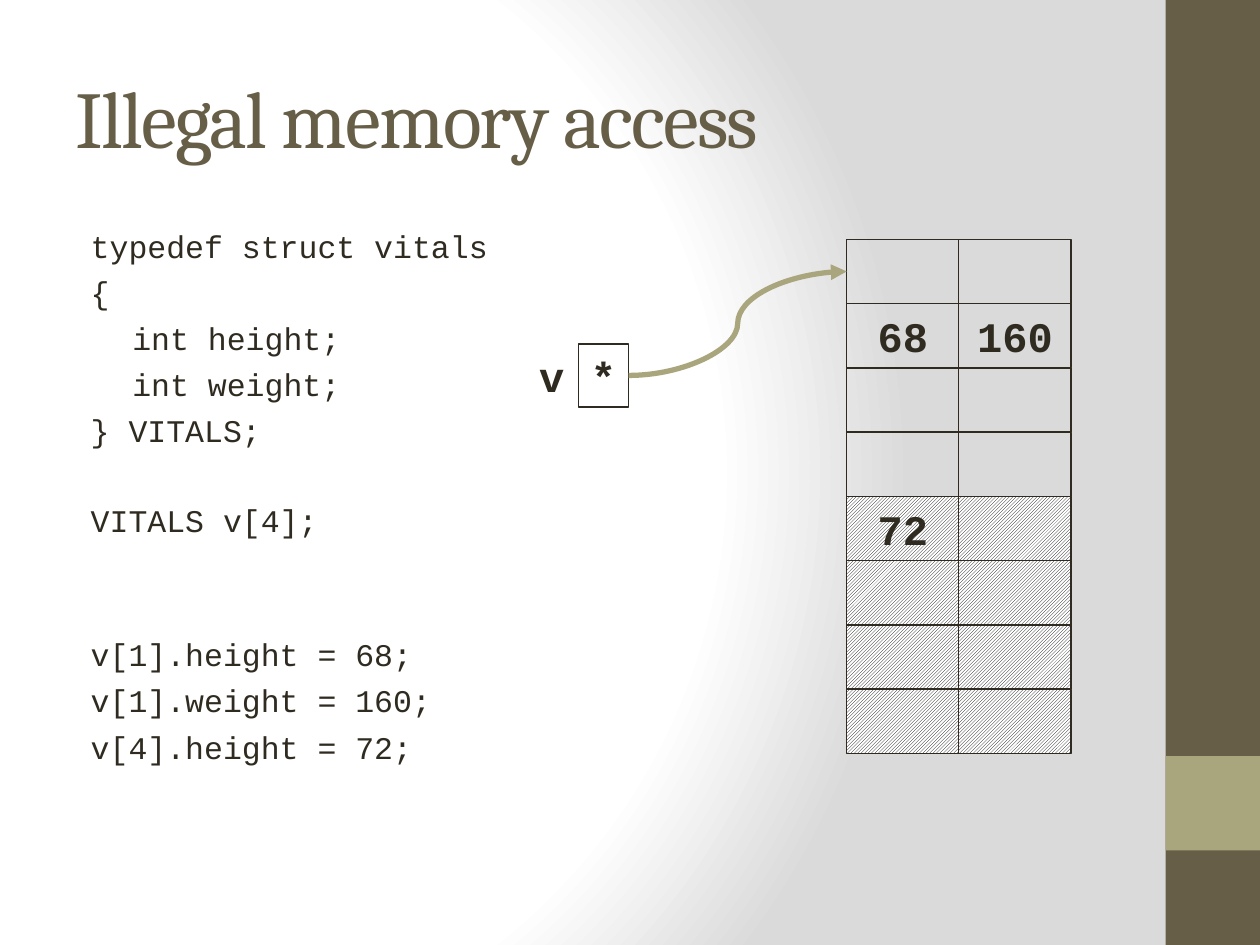
from typing import NamedTuple

from lxml import etree
from pptx import Presentation
from pptx.dml.color import RGBColor
from pptx.enum.dml import MSO_PATTERN
from pptx.enum.shapes import MSO_CONNECTOR, MSO_SHAPE
from pptx.enum.text import MSO_ANCHOR, MSO_AUTO_SIZE, PP_ALIGN
from pptx.oxml import parse_xml
from pptx.oxml.ns import nsdecls, qn
from pptx.util import Inches, Pt

RECT = MSO_SHAPE.RECTANGLE
CURVE = MSO_CONNECTOR.CURVE
HATCH = MSO_PATTERN.LIGHT_UPWARD_DIAGONAL
MIDDLE, TOP = MSO_ANCHOR.MIDDLE, MSO_ANCHOR.TOP
LEFT, CENTER = PP_ALIGN.LEFT, PP_ALIGN.CENTER
NO_AUTOFIT = MSO_AUTO_SIZE.NONE

BROWN = RGBColor(0x67, 0x5E, 0x47)
OLIVE = RGBColor(0xA9, 0xA5, 0x7C)
INK = RGBColor(0x2F, 0x2B, 0x20)
BLACK = RGBColor(0, 0, 0)
WHITE = RGBColor(0xFF, 0xFF, 0xFF)

CODE_FONT = "Courier New"
GRID_LEFT, GRID_TOP = 6.72, 1.9
CELL_W, CELL_H = 0.89, 0.51
ROWS, COLS, VALID_ROWS = 8, 2, 4
VALUES = {(1, 0): "68", (1, 1): "160", (4, 0): "72"}
LINE_GAP, BLANK_LINE = 4.75, 25.1


class CodeLine(NamedTuple):
    text: str
    level: int = 0
    blanks_before: int = 0


class Band(NamedTuple):
    top: float
    height: float
    color: RGBColor


CODE = [
    CodeLine("typedef struct vitals"),
    CodeLine("{"),
    CodeLine("int height;", 1),
    CodeLine("int weight;", 1),
    CodeLine("} VITALS;"),
    CodeLine("VITALS v[4];", 0, 1),
    CodeLine("v[1].height = 68;", 0, 2),
    CodeLine("v[1].weight = 160;"),
    CodeLine("v[4].height = 72;"),
]
BANDS = [Band(0, 7.5, BROWN), Band(6, 0.75, OLIVE)]


def add_run(p, text: str, size: float, font: str, color: RGBColor, bold: bool = False):
    r = p.add_run()
    r.text = text
    r.font.size = Pt(size)
    r.font.name = font
    r.font.bold = bold
    r.font.color.rgb = color
    return r


def place(sp, left: float, top: float, width: float, height: float) -> None:
    sp.left, sp.top = Inches(left), Inches(top)
    sp.width, sp.height = Inches(width), Inches(height)


def add_label(sp, text: str) -> None:
    tf = sp.text_frame
    tf.word_wrap = False
    tf.vertical_anchor = MIDDLE
    p = tf.paragraphs[0]
    p.alignment = CENTER
    add_run(p, text, 24, CODE_FONT, INK, True)


def add_box(s, left: float, top: float, width: float, height: float,
            text: str = "", hatched: bool = False):
    sp = s.shapes.add_shape(RECT, Inches(left), Inches(top), Inches(width), Inches(height))
    sp.shadow.inherit = False
    sp.line.color.rgb = INK
    sp.line.width = Pt(0.75)
    if hatched:
        sp.fill.patterned()
        sp.fill.pattern = HATCH
        sp.fill.fore_color.rgb = BLACK
        sp.fill.back_color.rgb = WHITE
    else:
        sp.fill.background()
    if text:
        add_label(sp, text)
    return sp


def add_band(s, band: Band) -> None:
    sp = s.shapes.add_shape(RECT, Inches(9.25), Inches(band.top), Inches(0.75), Inches(band.height))
    sp.shadow.inherit = False
    sp.fill.solid()
    sp.fill.fore_color.rgb = band.color
    sp.line.fill.background()


def set_background(s) -> None:
    bg = parse_xml(
        f'<p:bg {nsdecls("p", "a")}><p:bgPr><a:gradFill rotWithShape="1"><a:gsLst>'
        '<a:gs pos="0"><a:srgbClr val="FFFFFF"/></a:gs>'
        '<a:gs pos="75000"><a:srgbClr val="FFFFFF"/></a:gs>'
        '<a:gs pos="100000"><a:srgbClr val="DADADA"/></a:gs></a:gsLst>'
        '<a:path path="circle"><a:fillToRect l="20000" t="50000" r="100000" b="50000"/></a:path>'
        '</a:gradFill><a:effectLst/></p:bgPr></p:bg>'
    )
    s.element.cSld.insert(0, bg)


def fill_title(sp) -> None:
    place(sp, 0.5, 0.3, 8.33, 1.25)
    tf = sp.text_frame
    tf.auto_size = NO_AUTOFIT
    tf.vertical_anchor = MIDDLE
    p = tf.paragraphs[0]
    p.alignment = LEFT
    r = add_run(p, "Illegal memory access", 46, "Cambria", BROWN)
    r.font._element.set("spc", "-100")


def fill_code(sp) -> None:
    place(sp, 0.5, 1.75, 6.97, 5.25)
    tf = sp.text_frame
    tf.auto_size = NO_AUTOFIT
    tf.vertical_anchor = TOP
    for i, line in enumerate(CODE):
        p = tf.paragraphs[0] if i == 0 else tf.add_paragraph()
        p.level = line.level
        p.alignment = LEFT
        p.space_before = Pt(LINE_GAP + line.blanks_before * BLANK_LINE)
        pPr = p._p.get_or_add_pPr()
        pPr.set("marL", str(Inches(0.45 if line.level else 0.12)))
        pPr.set("indent", "0")
        etree.SubElement(pPr, qn("a:buNone"))
        add_run(p, line.text, 18, CODE_FONT, INK)


def add_pointer_arrow(s, source, target) -> None:
    arrow = s.shapes.add_connector(CURVE, 0, 0, 0, 0)
    arrow.begin_connect(source, 3)
    arrow.end_connect(target, 1)
    arrow.line.color.rgb = OLIVE
    arrow.line.width = Pt(3)
    etree.SubElement(arrow.line._get_or_add_ln(), qn("a:tailEnd"), type="triangle")
    etree.SubElement(arrow._element.spPr, qn("a:effectLst"))


prs = Presentation()
prs.slide_width, prs.slide_height = Inches(10), Inches(7.5)
s = prs.slides.add_slide(prs.slide_layouts[1])
set_background(s)
for band in BANDS:
    add_band(s, band)
fill_title(s.shapes.title)
fill_code(s.placeholders[1])

cells = {
    (row, col): add_box(s, GRID_LEFT + col * CELL_W, GRID_TOP + row * CELL_H, CELL_W, CELL_H,
                        VALUES.get((row, col), ""), row >= VALID_ROWS)
    for row in range(ROWS) for col in range(COLS)
}
pointer = add_box(s, 4.59, 2.73, 0.4, 0.5, "*")
name = s.shapes.add_textbox(Inches(4.18), Inches(2.73), Inches(0.4), Inches(0.5))
add_label(name, "v")
add_pointer_arrow(s, pointer, cells[0, 0])

prs.save("out.pptx")
